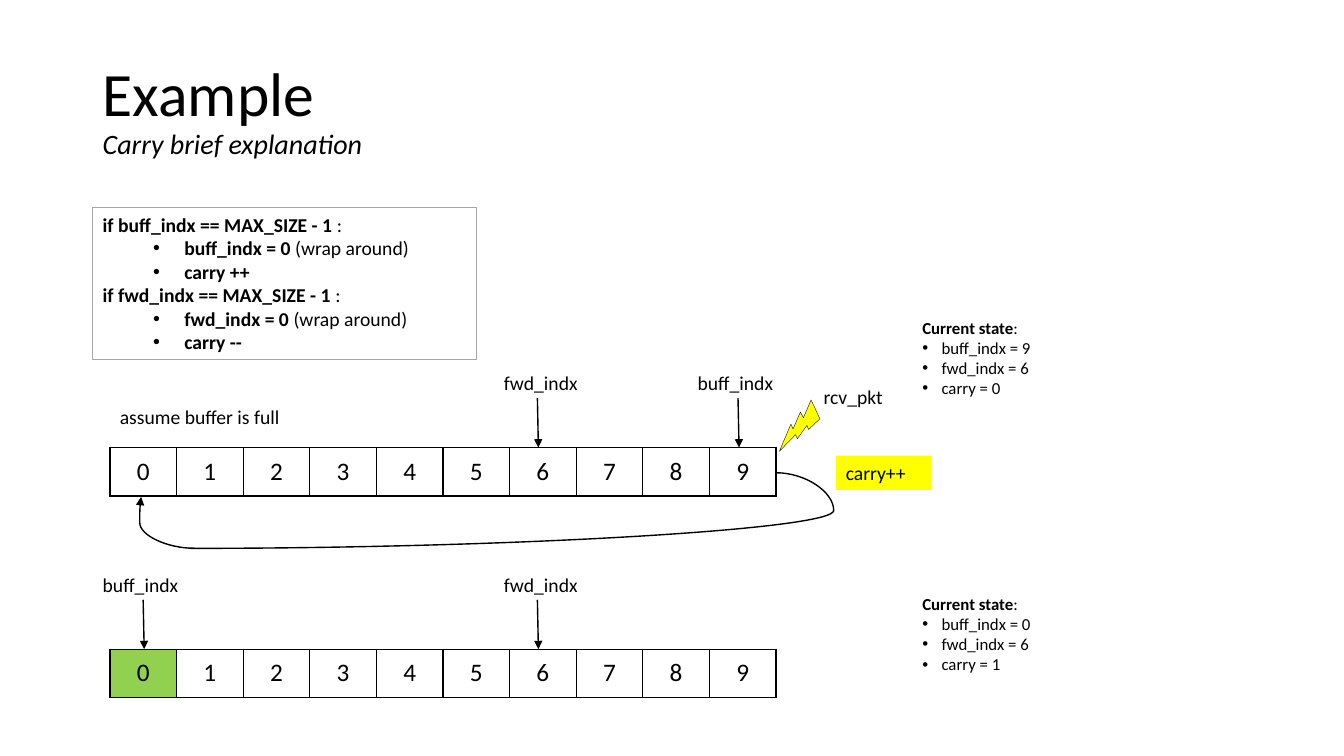
from dataclasses import dataclass

from pptx import Presentation
from pptx.dml.color import RGBColor as RGB
from pptx.enum.shapes import MSO_CONNECTOR as LINK, MSO_SHAPE as FORM
from pptx.enum.text import MSO_ANCHOR as ANCHOR, PP_ALIGN as ALIGN
from pptx.oxml.ns import qn
from pptx.util import Inches, Pt
from lxml.etree import SubElement as sub


@dataclass(frozen=True)
class Theme:
    font: str = "Calibri"
    ink: str = "000000"
    paper: str = "FFFFFF"
    mark: str = "FFFF00"
    fresh: str = "92D050"
    edge: str = "A6A6A6"
    head: int = 44
    lead: int = 20
    cell: int = 18
    body: int = 14
    note: int = 12


LOOK = Theme()
LEFT, CELL, COUNT, HIGH = 1.09, 0.66, 10, 0.48


def style(run, size, bold=False, slant=False):
    font = run.font
    font.name, font.size = LOOK.font, Pt(size)
    font.bold, font.italic = bold, slant
    font.color.rgb = RGB.from_string(LOOK.ink)


def bullet(para, dent, hang):
    props = para._p.get_or_add_pPr()
    props.set("marL", str(Inches(dent)))
    props.set("indent", str(-Inches(hang)))
    sub(props, qn("a:buFont"), typeface="Arial")
    sub(props, qn("a:buChar"), char="•")


def write(frame, lines, size=LOOK.body, dent=0, hang=0):
    frame.word_wrap = True
    frame.vertical_anchor = ANCHOR.TOP
    for i, (bold, plain, dot) in enumerate(lines):
        para = frame.add_paragraph() if i else frame.paragraphs[0]
        para.alignment = ALIGN.LEFT
        if dot:
            bullet(para, dent, hang)
        for words, heavy in ((bold, True), (plain, False)):
            if words:
                run = para.add_run()
                run.text = words
                style(run, size, bold=heavy)


def place(slide, spot, lines, **form):
    box = slide.shapes.add_textbox(*map(Inches, spot))
    write(box.text_frame, lines, **form)


def label(slide, x, y, words, wide=1.02):
    place(slide, (x, y, wide, 0.34), [("", words, False)])


def shape(slide, kind, spot, fill=None, line=None, thick=1):
    item = slide.shapes.add_shape(kind, *map(Inches, spot))
    item.shadow.inherit = False
    if fill:
        item.fill.solid()
        item.fill.fore_color.rgb = RGB.from_string(fill)
    else:
        item.fill.background()
    if line:
        item.line.color.rgb = RGB.from_string(line)
        item.line.width = Pt(thick)
    else:
        item.line.fill.background()
    return item


def link(slide, start, end, kind=LINK.STRAIGHT, bend=None, tip=True):
    wire = slide.shapes.add_connector(kind, *map(Inches, start + end))
    wire.line.color.rgb = RGB.from_string(LOOK.ink)
    wire.line.width = Pt(1)
    props = wire._element.spPr
    if bend is not None:
        geom = props.find(qn("a:prstGeom"))
        guides = geom.find(qn("a:avLst"))
        if guides is None:
            guides = sub(geom, qn("a:avLst"))
        sub(guides, qn("a:gd"), name="adj1", fmla=f"val {round(bend * 100000)}")
    if tip:
        sub(props.find(qn("a:ln")), qn("a:tailEnd"), type="triangle")
    sub(props, qn("a:effectLst"))


def border(cell):
    props = cell._tc.get_or_add_tcPr()
    for i, side in enumerate(("lnL", "lnR", "lnT", "lnB")):
        line = sub(props, qn(f"a:{side}"), w=str(Pt(1)))
        sub(sub(line, qn("a:solidFill")), qn("a:srgbClr"), val=LOOK.ink)
        props.insert(i, line)


def buffer(slide, top, fresh=()):
    spot = (LEFT, top, CELL * COUNT, HIGH)
    grid = slide.shapes.add_table(1, COUNT, *map(Inches, spot)).table
    grid.first_row = grid.horz_banding = False
    for i, cell in enumerate(grid.iter_cells()):
        grid.columns[i].width = Inches(CELL + 0.001)
        cell.vertical_anchor = ANCHOR.MIDDLE
        cell.fill.solid()
        tint = LOOK.fresh if i in fresh else LOOK.paper
        cell.fill.fore_color.rgb = RGB.from_string(tint)
        border(cell)
        para = cell.text_frame.paragraphs[0]
        para.alignment = ALIGN.CENTER
        run = para.add_run()
        run.text = str(i)
        style(run, LOOK.cell)


def index(slide, words, x, top, tip):
    label(slide, x, top - 0.81, words)
    link(slide, (tip - 0.01, top - 0.49), (tip, top))


def state(slide, top, buff, fwd, carry):
    facts = (("buff_indx", buff), ("fwd_indx", fwd), ("carry", carry))
    lines = [("Current state", ":", False)]
    lines += [("", f"{name} = {value}", True) for name, value in facts]
    place(slide, (9.05, top, 1.33, 0.91), lines,
          size=LOOK.note, dent=0.19, hang=0.19)


def title(slide):
    box = slide.shapes.add_textbox(*map(Inches, (0.92, 0.58, 3.49, 1.1)))
    box.text_frame.word_wrap = True
    para = box.text_frame.paragraphs[0]
    para.line_spacing = 0.9
    run = para.add_run()
    run.text = "Example"
    style(run, LOOK.head)
    para.add_line_break()
    run = para.add_run()
    run.text = "Carry brief explanation"
    style(run, LOOK.lead, slant=True)


def rules(slide):
    box = shape(slide, FORM.RECTANGLE, (0.92, 2.06, 3.81, 1.51),
                line=LOOK.edge, thick=0.75)
    lines = []
    for name, step in (("buff_indx", "++"), ("fwd_indx", "--")):
        lines += [(f"if {name} == MAX_SIZE - 1 ", ":", False),
                  (f"{name} = 0", " (wrap around)", True),
                  (f"carry {step}", "", True)]
    write(box.text_frame, lines, dent=0.81, hang=0.31)


def main():
    deck = Presentation()
    deck.slide_width, deck.slide_height = Inches(13.33), Inches(7.5)
    slide = deck.slides.add_slide(deck.slide_layouts[6])
    title(slide)
    rules(slide)

    full, wrapped = 4.44, 6.44
    buffer(slide, full)
    label(slide, LEFT, 3.97, "assume buffer is full", wide=1.95)
    index(slide, "fwd_indx", 4.9, full, 5.34)
    index(slide, "buff_indx", 6.82, full, 7.33)
    state(slide, 3.1, 9, 6, 0)

    bolt = shape(slide, FORM.LIGHTNING_BOLT, (7.68, 4.01, 0.49, 0.42),
                 fill=LOOK.mark, line=LOOK.ink, thick=0.25)
    bolt.rotation = 86.6
    label(slide, 8.07, 3.77, "rcv_pkt", wide=0.87)
    carry = shape(slide, FORM.RECTANGLE, (8.29, 4.52, 0.95, 0.34), fill=LOOK.mark)
    write(carry.text_frame, [("", "carry++", False)])
    link(slide, (7.7, 4.69), (1.89, 5.44), LINK.CURVE, bend=-0.098, tip=False)
    link(slide, (1.93, 5.44), (1.4, 4.93), LINK.CURVE, bend=1.026)

    buffer(slide, wrapped, fresh=(0,))
    index(slide, "buff_indx", 0.92, wrapped, 1.43)
    index(slide, "fwd_indx", 4.9, wrapped, 5.34)
    state(slide, 5.84, 0, 6, 1)
    deck.save("out.pptx")


main()
